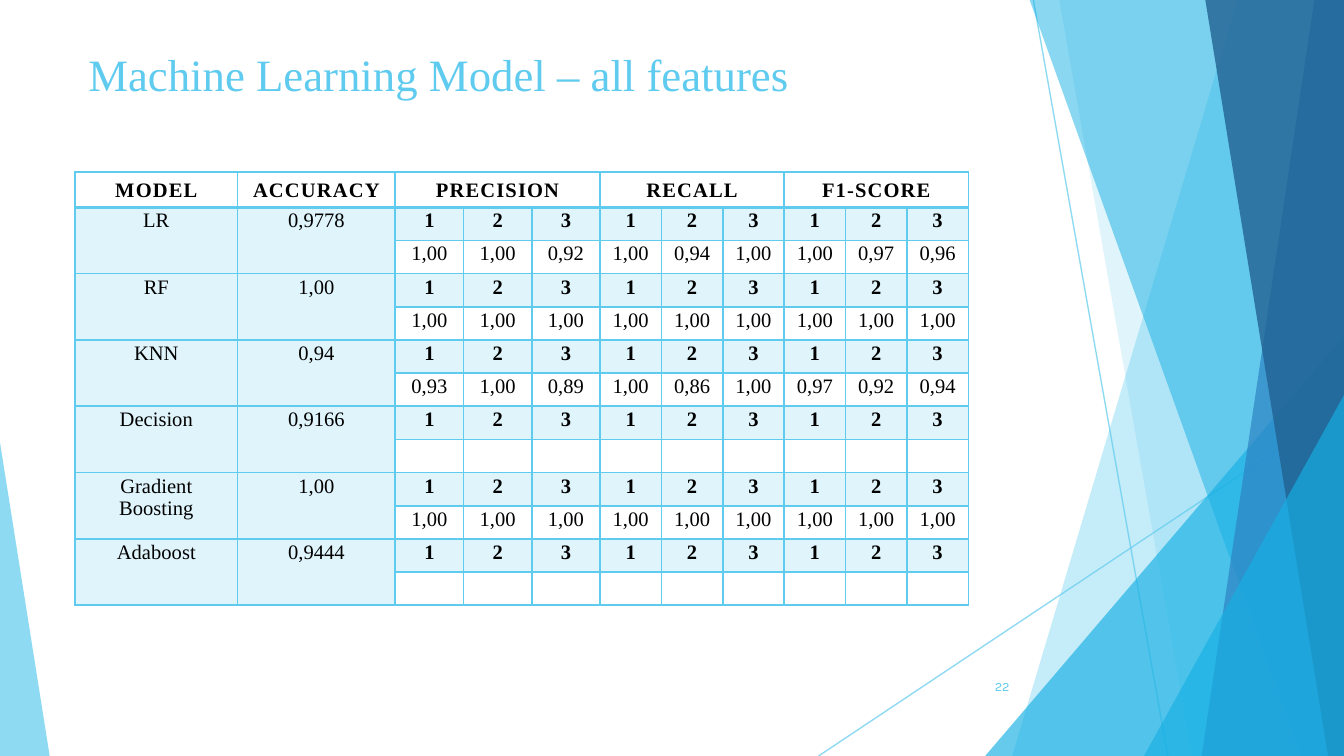
"""Build the slide that compares machine learning models on all features."""
from typing import Any, NamedTuple

from lxml import etree
from pptx import Presentation
from pptx.dml import color
from pptx.enum import shapes, text
from pptx.oxml import ns
from pptx.util import Cm, Pt

WIDTH, HEIGHT = 25.4, 14.29
SERIF = "Times New Roman"
COLORS = {"sky": "5FCBEF", "cyan": "17B0E4", "blue": "2E83C3",
          "navy": "226292", "black": "000000"}


class Ray(NamedTuple):
    x1: float
    y1: float
    x2: float
    y2: float


class Band(NamedTuple):
    top_x: float
    bottom_x: float
    color: str
    alpha: int


class Wedge(NamedTuple):
    left: float
    top: float
    width: float
    apex: float
    color: str
    alpha: int


class Label(NamedTuple):
    words: str
    left: float
    top: float
    width: float
    height: float
    font: str
    size: float
    align: Any
    anchor: Any


class Model(NamedTuple):
    name: str
    accuracy: str
    scores: str


RAYS = [Ray(19.53, 0, 22.07, HEIGHT), Ray(WIDTH, 7.67, 15.47, HEIGHT)]
DECOR = [
    Band(23.39, 19.13, "sky", 36),
    Band(20.02, 22.53, "sky", 20),
    Wedge(18.62, 6.35, 6.78, 1, "cyan", 66),
    Band(19.46, 24.59, "cyan", 50),
    Band(24.84, 22.71, "blue", 70),
    Band(22.78, 25.1, "navy", 80),
    Wedge(21.62, 7.47, 3.78, 1, "cyan", 66),
    Wedge(0, 8.36, 0.94, 0, "sky", 70),
]
LABELS = [
    Label("Machine Learning Model – all features", 1.42, 0.64, 17.5, 1.7,
          SERIF, 24, text.PP_ALIGN.LEFT, text.MSO_ANCHOR.TOP),
    Label("22", 17.91, 12.6, 1.42, 0.76, "Karla", 6.8,
          text.PP_ALIGN.RIGHT, text.MSO_ANCHOR.MIDDLE),
]
METRICS = ["PRECISION", "RECALL", "F1-SCORE"]
PERFECT = " ".join(["1,00"] * 9)
MODELS = [
    Model("LR", "0,9778", "1,00 1,00 0,92 1,00 0,94 1,00 1,00 0,97 0,96"),
    Model("RF", "1,00", PERFECT),
    Model("KNN", "0,94", "0,93 1,00 0,89 1,00 0,86 1,00 0,97 0,92 0,94"),
    Model("Decision", "0,9166", ""),
    Model("Gradient Boosting", "1,00", PERFECT),
    Model("Adaboost", "0,9444", ""),
]
COLUMNS = [3.07, 2.98] + [1.29] * 3 + [1.16] * 6
ROWS = [0.66] + [0.61] * 2 * len(MODELS)


def rgb(name: str) -> color.RGBColor:
    """Return a named colour."""
    return color.RGBColor.from_string(COLORS[name])


def paint(fill: Any, parent: Any, name: str, alpha: int) -> None:
    """Fill with a colour at the given opacity in percent."""
    fill.solid()
    fill.fore_color.rgb = rgb(name)
    clr = parent.find(ns.qn("a:solidFill")).find(ns.qn("a:srgbClr"))
    etree.SubElement(clr, ns.qn("a:alpha"), val=str(alpha * 1000))


def draw_ray(s: Any, ray: Ray) -> None:
    """Draw a thin line."""
    sp = s.shapes.add_connector(shapes.MSO_CONNECTOR.STRAIGHT, *map(Cm, ray))
    sp.line.width = Pt(0.75)
    props = sp._element.spPr
    paint(sp.line.fill, props.find(ns.qn("a:ln")), "sky", 70)
    etree.SubElement(props, ns.qn("a:effectLst"))


def draw_decor(s: Any, item: Band | Wedge) -> None:
    """Draw a translucent band or triangle."""
    if isinstance(item, Band):
        fb = s.shapes.build_freeform(Cm(item.top_x), 0)
        corners = [(WIDTH, 0), (WIDTH, HEIGHT), (item.bottom_x, HEIGHT)]
        fb.add_line_segments([(Cm(x), Cm(y)) for x, y in corners])
        sp = fb.convert_to_shape()
    else:
        sp = s.shapes.add_shape(
            shapes.MSO_SHAPE.ISOSCELES_TRIANGLE, Cm(item.left), Cm(item.top),
            Cm(item.width), Cm(HEIGHT - item.top))
        sp.adjustments[0] = item.apex
    sp.shadow.inherit = False
    sp.line.fill.background()
    paint(sp.fill, sp._element.spPr, item.color, item.alpha)


def draw_label(s: Any, label: Label) -> None:
    """Draw a text box."""
    sp = s.shapes.add_textbox(*map(Cm, label[1:5]))
    tf = sp.text_frame
    tf.word_wrap = True
    tf.vertical_anchor = label.anchor
    tf.margin_left = tf.margin_right = tf.margin_top = tf.margin_bottom = Cm(0.25)
    p = tf.paragraphs[0]
    p.text = label.words
    p.alignment = label.align
    font = p.runs[0].font
    font.name, font.size = label.font, Pt(label.size)
    font.color.rgb = rgb("sky")


def style_cell(cell: Any, row: int, col: int) -> None:
    """Set the borders, fill, margins and text format of a cell."""
    header, labels = row == 0, row % 2 == 1
    props = cell._tc.get_or_add_tcPr()
    for side in "LRTB":
        thick = (row, side) in ((0, "B"), (1, "T"))
        ln = etree.SubElement(props, ns.qn(f"a:ln{side}"), w=str(Pt(2 if thick else 1)))
        fill = etree.SubElement(ln, ns.qn("a:solidFill"))
        etree.SubElement(fill, ns.qn("a:srgbClr"), val=COLORS["sky"])
    if labels or (col < 2 and not header):
        paint(cell.fill, props, "sky", 20)
    else:
        cell.fill.background()
    cell.margin_left = cell.margin_right = Cm(0.12)
    cell.margin_top = Cm(0.1 if header else 0.04)
    cell.margin_bottom = Cm(0.1 if header else 0.12)
    cell.vertical_anchor = text.MSO_ANCHOR.BOTTOM if header else text.MSO_ANCHOR.TOP
    p = cell.text_frame.paragraphs[0]
    p.alignment = text.PP_ALIGN.CENTER
    for r in p.runs:
        r.font.name, r.font.size = SERIF, Pt(11)
        r.font.bold = header or (labels and col > 1)
        r.font.color.rgb = rgb("black")
        if header:
            r._r.get_or_add_rPr().set("spc", "60")
    if not p.runs:
        etree.SubElement(p._p, ns.qn("a:endParaRPr"), sz="1100")


def draw_table(s: Any) -> None:
    """Draw the table of model scores."""
    tbl = s.shapes.add_table(len(ROWS), len(COLUMNS), Cm(1.42), Cm(3.25),
                             Cm(sum(COLUMNS)), Cm(sum(ROWS))).table
    tbl.first_row = tbl.horz_banding = False
    for column, width in zip(tbl.columns, COLUMNS):
        column.width = Cm(width)
    for row, height in zip(tbl.rows, ROWS):
        row.height = Cm(height)
    grid = [["MODEL", "ACCURACY"] + [w for m in METRICS for w in (m, "", "")]]
    for model in MODELS:
        grid.append([model.name, model.accuracy] + ["1", "2", "3"] * len(METRICS))
        grid.append(["", ""] + (model.scores.split() or [""] * 9))
    for i, words in enumerate(grid):
        for j, word in enumerate(words):
            cell = tbl.cell(i, j)
            if word:
                cell.text_frame.text = word
            style_cell(cell, i, j)
    for j in range(2, len(COLUMNS), 3):
        tbl.cell(0, j).merge(tbl.cell(0, j + 2))
    for i in range(1, len(ROWS), 2):
        for j in range(2):
            tbl.cell(i, j).merge(tbl.cell(i + 1, j))


def main() -> None:
    """Build and save the slide."""
    prs = Presentation()
    prs.slide_width, prs.slide_height = Cm(WIDTH), Cm(HEIGHT)
    s = prs.slides.add_slide(prs.slide_layouts[6])
    for ray in RAYS:
        draw_ray(s, ray)
    for item in DECOR:
        draw_decor(s, item)
    for label in LABELS:
        draw_label(s, label)
    draw_table(s)
    prs.save("out.pptx")


if __name__ == "__main__":
    main()
